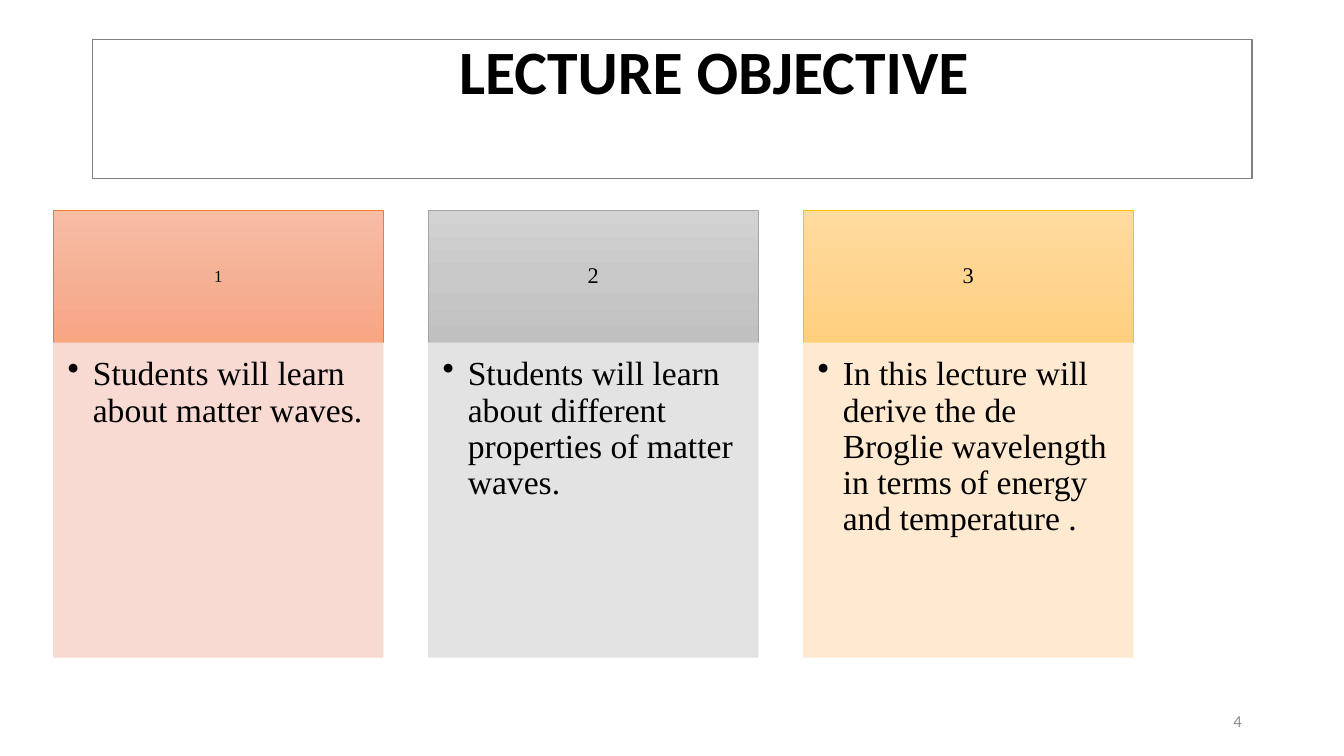
from copy import deepcopy

from lxml import etree
from pptx import Presentation
from pptx import util as u
from pptx.dml.color import RGBColor
from pptx.enum import shapes, text
from pptx.oxml import ns

COLORS = {"black": "000000", "number": "8C8C8C", "frame": "808080"}
CARDS = [
    {"gradient": ["F7BDA5", "F5B196", "F8A582"], "line": "ED7D31", "body": "F8D7CE", "size": 12,
     "words": "Students will learn about matter waves."},
    {"gradient": ["D2D2D2", "C8C8C8", "C0C0C0"], "line": "A5A5A5", "body": "E1E1E1", "size": 16,
     "words": "Students will learn about different properties of matter waves."},
    {"gradient": ["FFDB9E", "FFD590", "FFD07C"], "line": "FFC000", "body": "FFE8CC", "size": 16,
     "words": "In this lecture will derive the de Broglie wavelength in terms of energy and temperature ."},
]
CARD_LEFT, CARD_PITCH, CARD_WIDTH = 3.98, 27.9, 24.53
HEADER_TOP, HEADER_HEIGHT = 27.87, 17.47
BODY_TOP, BODY_HEIGHT = 45.33, 41.6
CENTER, LEFT, RIGHT = text.PP_ALIGN.CENTER, text.PP_ALIGN.LEFT, text.PP_ALIGN.RIGHT
TOP, MIDDLE = text.MSO_ANCHOR.TOP, text.MSO_ANCHOR.MIDDLE


def set_alpha(color_parent, percent):
    color = next(color_parent.iter(ns.qn("a:srgbClr")))
    etree.SubElement(color, ns.qn("a:alpha")).set("val", str(percent * 1000))


class SlideBuilder:
    """Places elements on one slide; boxes are percentages of its size."""

    heading_font = "Calibri"
    body_font = "Times New Roman"

    def __init__(self, presentation):
        self.width = presentation.slide_width
        self.height = presentation.slide_height
        self.slide = presentation.slides.add_slide(presentation.slide_layouts[6])

    def place(self, left, top, width, height):
        return (round(self.width * left / 100), round(self.height * top / 100),
                round(self.width * width / 100), round(self.height * height / 100))

    def add_words(self, shape, words, size, font, color="black", align=CENTER, bold=False,
                  anchor=TOP, insets=(0.1, 0.05, 0.1, 0.05), spacing=1.0, bullet=False):
        frame = shape.text_frame
        frame.word_wrap = True
        frame.vertical_anchor = anchor
        (frame.margin_left, frame.margin_top,
         frame.margin_right, frame.margin_bottom) = map(u.Inches, insets)
        paragraph = frame.paragraphs[0]
        if bullet:
            properties = paragraph._p.get_or_add_pPr()
            properties.set("marL", str(u.Inches(0.25)))
            properties.set("indent", str(u.Inches(-0.25)))
            etree.SubElement(properties, ns.qn("a:buChar")).set("char", "•")
        paragraph.alignment = align
        paragraph.line_spacing = spacing
        run = paragraph.add_run()
        run.text = words
        run.font.name = font
        run.font.size = u.Pt(size)
        run.font.bold = bold
        run.font.color.rgb = RGBColor.from_string(COLORS[color])

    def textbox(self, box, words, size, **style):
        shape = self.slide.shapes.add_textbox(*self.place(*box))
        self.add_words(shape, words, size, self.heading_font, **style)

    def rectangle(self, box, line, line_width=0.5):
        shape = self.slide.shapes.add_shape(shapes.MSO_SHAPE.RECTANGLE, *self.place(*box))
        shape.shadow.inherit = False
        shape.fill.background()
        shape.line.color.rgb = RGBColor.from_string(line)
        shape.line.width = u.Pt(line_width)
        return shape

    def fill_gradient(self, shape, colors):
        """Fill from top to bottom with three evenly spaced colours."""
        shape.fill.gradient()
        shape.fill.gradient_angle = 270
        stop_list = next(shape._element.spPr.iter(ns.qn("a:gsLst")))
        stop_list.insert(1, deepcopy(stop_list[0]))
        for stop, color, position in zip(shape.fill.gradient_stops, colors, (0, 0.5, 1)):
            stop.color.rgb = RGBColor.from_string(color)
            stop.position = position

    def card(self, index, gradient, line, body, size, words):
        left = CARD_LEFT + index * CARD_PITCH
        header = self.rectangle((left, HEADER_TOP, CARD_WIDTH, HEADER_HEIGHT), line)
        self.fill_gradient(header, gradient)
        self.add_words(header, str(index + 1), size, self.body_font, anchor=MIDDLE, spacing=0.9)

        panel = self.rectangle((left, BODY_TOP, CARD_WIDTH, BODY_HEIGHT), body)
        panel.fill.solid()
        panel.fill.fore_color.rgb = RGBColor.from_string(body)
        properties = panel._element.spPr
        for tag in ("a:solidFill", "a:ln"):
            set_alpha(properties.find(ns.qn(tag)), 90)
        self.add_words(panel, words, 24, self.body_font, align=LEFT, spacing=0.9,
                       insets=(0.14, 0.14, 0.19, 0.21), bullet=True)


def main():
    presentation = Presentation()
    presentation.slide_width = u.Inches(13.33)
    presentation.slide_height = u.Inches(7.5)
    builder = SlideBuilder(presentation)
    builder.textbox((70.65, 92.67, 22.5, 5.33), "4", 12, color="number", align=RIGHT, anchor=MIDDLE)
    builder.textbox((24.08, 3.73, 58.13, 11.2), "LECTURE OBJECTIVE", 44, bold=True)
    for index, card in enumerate(CARDS):
        builder.card(index, **card)
    builder.rectangle((6.9, 5.2, 86.25, 18.4), COLORS["frame"], 1)
    presentation.save("out.pptx")


if __name__ == "__main__":
    main()
